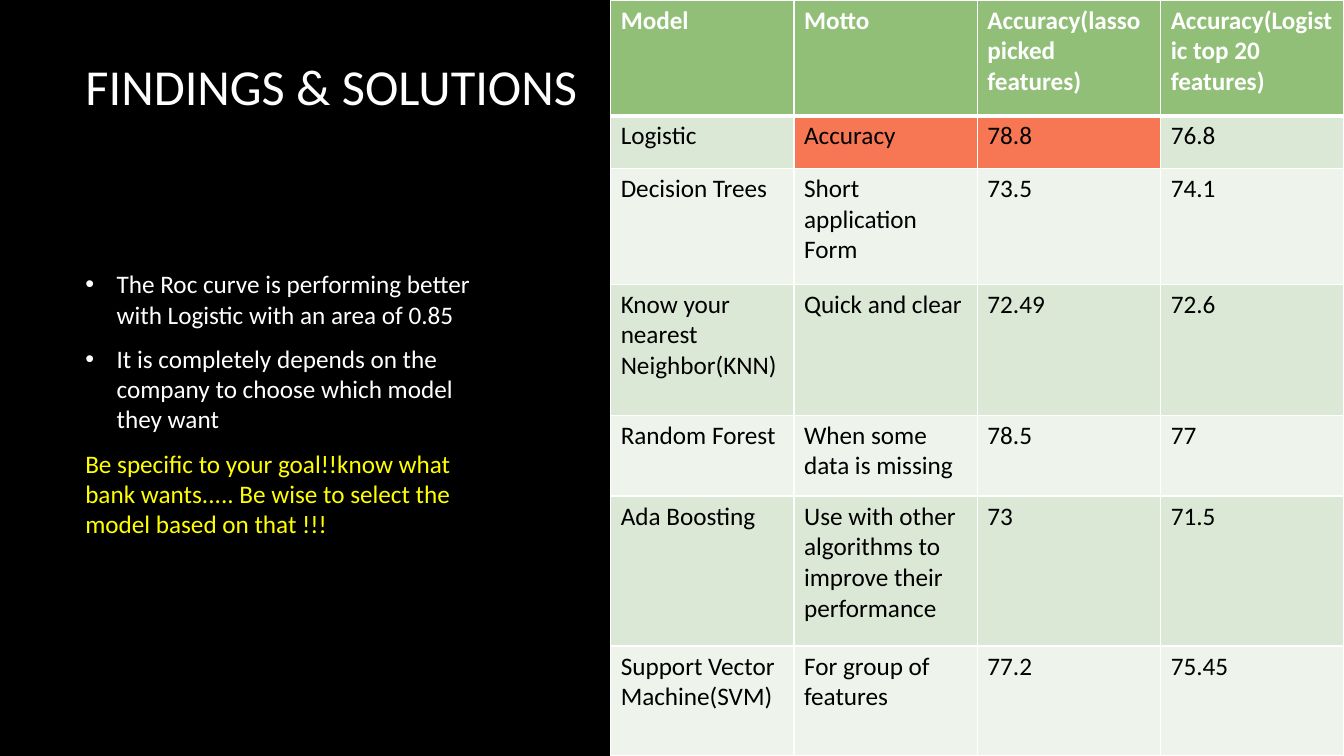
from lxml.etree import SubElement
from pptx import Presentation
from pptx.dml.color import RGBColor
from pptx.enum.text import MSO_ANCHOR, MSO_AUTO_SIZE, PP_ALIGN
from pptx.oxml import parse_xml
from pptx.oxml.ns import nsdecls, qn
from pptx.util import Cm, Pt

WHITE, BLACK, YELLOW = "FFFFFF", "000000", "FFFF00"
GREEN, MINT, PALE, CORAL = "91BF77", "DCE8D6", "EEF4EC", "F77754"

POINTS = [
    "The Roc curve is performing better with Logistic with an area of 0.85",
    "It is completely depends on the company to choose which model they want",
]
ADVICE = ("Be specific to your goal!!know what bank wants..... "
          "Be wise to select the model based on that !!!")

ROWS = [
    ("Model", "Motto", "Accuracy(lasso picked features)",
     "Accuracy(Logistic top 20 features)"),
    ("Logistic", "Accuracy", "78.8", "76.8"),
    ("Decision Trees", "Short application Form", "73.5", "74.1"),
    ("Know your nearest Neighbor(KNN)", "Quick and clear", "72.49", "72.6"),
    ("Random Forest", "When some data is missing", "78.5", "77"),
    ("Ada Boosting", "Use with other algorithms to improve their performance",
     "73", "71.5"),
    ("Support Vector Machine(SVM)", "For group of features", "77.2", "75.45"),
]
HEIGHTS = [2.92, 1.32, 2.92, 3.3, 2.04, 3.78, 2.77]
COLUMN = 4.62
BEST = [(1, 1), (1, 2)]


def paint(target, color):
    """Give a font colour or a solid fill its hex colour."""
    target.rgb = RGBColor.from_string(color)


def style(para, size, color, bold=False):
    for run in para.runs:
        run.font.name = "Calibri"
        run.font.size = Pt(size)
        run.font.bold = bold
        paint(run.font.color, color)


def bullet(para):
    props = para._p.get_or_add_pPr()
    props.set("marL", str(Cm(0.79)))
    props.set("indent", str(-Cm(0.79)))
    SubElement(props, qn("a:buFont")).set("typeface", "Arial")
    SubElement(props, qn("a:buChar")).set("char", "•")


def border(cell, top, bottom):
    props = cell._tc.get_or_add_tcPr()
    sides = [("lnL", 1), ("lnR", 1), ("lnT", top), ("lnB", bottom)]
    for place, (side, width) in enumerate(sides):
        line = parse_xml(
            f'<a:{side} {nsdecls("a")} w="{Pt(width)}"><a:solidFill>'
            f'<a:srgbClr val="{WHITE}"/></a:solidFill></a:{side}>')
        props.insert(place, line)


def add_title(slide, text):
    title = slide.shapes.title
    title.left, title.top = Cm(1.9), Cm(0.41)
    title.width, title.height = Cm(12.93), Cm(3.48)
    frame = title.text_frame
    frame.text = text
    frame.auto_size = MSO_AUTO_SIZE.NONE
    frame.vertical_anchor = MSO_ANCHOR.MIDDLE
    frame.paragraphs[0].alignment = PP_ALIGN.LEFT
    style(frame.paragraphs[0], 36, WHITE)


def add_notes(slide):
    box = slide.shapes.add_textbox(Cm(1.9), Cm(3.89), Cm(10.74), Cm(13.69))
    frame = box.text_frame
    frame.word_wrap = True
    frame.vertical_anchor = MSO_ANCHOR.MIDDLE
    frame.margin_bottom = Cm(1.25)
    for place, text in enumerate(POINTS + [ADVICE]):
        para = frame.add_paragraph() if place else frame.paragraphs[0]
        para.text = text
        para.space_after = Pt(10)
        if text != ADVICE:
            bullet(para)
        style(para, 18, YELLOW if text == ADVICE else WHITE)


def shade(row, col):
    if row == 0:
        return GREEN
    if (row, col) in BEST:
        return CORAL
    return MINT if row % 2 else PALE


def add_scores(slide):
    count = len(ROWS[0])
    frame = slide.shapes.add_table(
        len(ROWS), count, Cm(15.39), Cm(0), Cm(COLUMN * count),
        Cm(sum(HEIGHTS)))
    table = frame.table
    table.horz_banding = False
    for column in table.columns:
        column.width = Cm(COLUMN)
    for row, texts in enumerate(ROWS):
        table.rows[row].height = Cm(HEIGHTS[row])
        for col, text in enumerate(texts):
            cell = table.cell(row, col)
            cell.text = text
            cell.fill.solid()
            paint(cell.fill.fore_color, shade(row, col))
            border(cell, 3 if row == 1 else 1, 3 if row == 0 else 1)
            style(cell.text_frame.paragraphs[0], 18,
                  BLACK if row else WHITE, row == 0)


def main():
    deck = Presentation()
    deck.slide_width, deck.slide_height = Cm(33.87), Cm(19.05)
    slide = deck.slides.add_slide(deck.slide_layouts[5])

    # Black background
    slide.background.fill.solid()
    paint(slide.background.fill.fore_color, BLACK)

    # Left side: title and advice
    add_title(slide, "FINDINGS & SOLUTIONS")
    add_notes(slide)

    # Right side: model scores
    add_scores(slide)
    deck.save("out.pptx")


if __name__ == "__main__":
    main()
